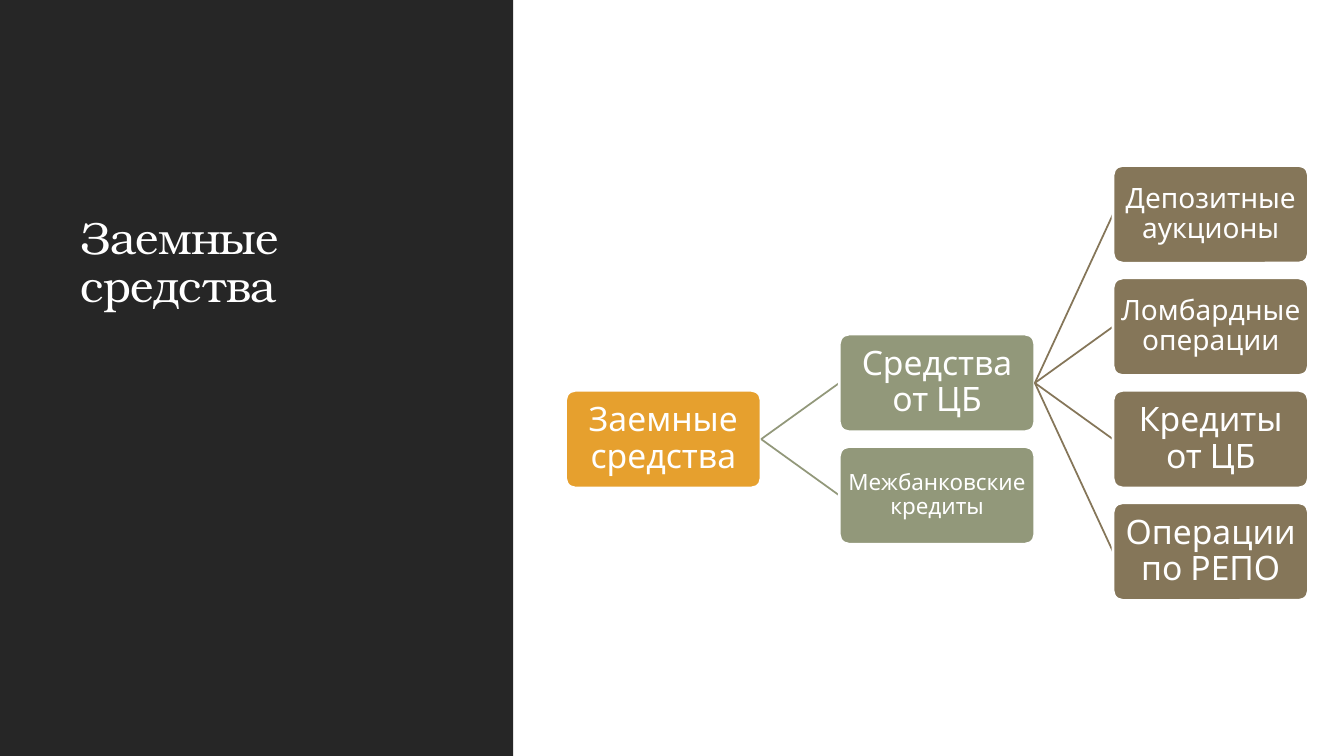
from lxml import etree
from pptx import Presentation
from pptx.dml.color import RGBColor
from pptx.enum.shapes import MSO_CONNECTOR, MSO_SHAPE
from pptx.enum.text import MSO_ANCHOR, PP_ALIGN
from pptx.oxml.ns import qn
from pptx.util import Pt

RECTANGLE = MSO_SHAPE.RECTANGLE
ROUNDED = MSO_SHAPE.ROUNDED_RECTANGLE
STRAIGHT = MSO_CONNECTOR.STRAIGHT
MIDDLE, BOTTOM = MSO_ANCHOR.MIDDLE, MSO_ANCHOR.BOTTOM
LEFT, CENTER = PP_ALIGN.LEFT, PP_ALIGN.CENTER

# Content: each node is (text, type size name, children)
TITLE = "Заемные средства"
TREE = ("Заемные средства", "large", [
    ("Средства от ЦБ", "large", [
        ("Депозитные аукционы", "medium", []),
        ("Ломбардные операции", "medium", []),
        ("Кредиты от ЦБ", "large", []),
        ("Операции по РЕПО", "large", []),
    ]),
    ("Межбанковские кредиты", "small", []),
])

THEME = {
    "panel": RGBColor.from_string("262626"),
    "white": RGBColor.from_string("FFFFFF"),
    "levels": [RGBColor.from_string(code) for code in ("E6A02E", "92987A", "857659")],
    "title_font": "TeX Gyre Bonum",
    "body_font": "Karla",
    "sizes": {"title": 32, "large": 24, "medium": 20, "small": 16},
}

# Layout in points
SLIDE_WIDTH, SLIDE_HEIGHT = 960, 540
PANEL_WIDTH = 366.5
TITLE_BOX = (50.4, 61.9, 277.2, 164.9)
TREE_LEFT, TREE_MIDDLE = 404, 313.7
BOX_WIDTH, BOX_HEIGHT = 139.7, 69.85
COLUMN_STEP, ROW_STEP = 195.5, 80.3


def set_values(target, values):
    for name, value in values.items():
        setattr(target, name, value)


def write_text(shape, text, size, font, align, anchor, margins):
    frame = shape.text_frame
    sides = ("margin_left", "margin_top", "margin_right", "margin_bottom")
    set_values(frame, {"word_wrap": True, "vertical_anchor": anchor})
    set_values(frame, {side: Pt(margin) for side, margin in zip(sides, margins)})
    paragraph = frame.paragraphs[0]
    set_values(paragraph, {"alignment": align, "line_spacing": 0.9})
    run = paragraph.add_run()
    run.text = text
    set_values(run.font, {"size": Pt(THEME["sizes"][size]), "name": font})
    run.font.color.rgb = THEME["white"]
    return run


def add_block(slide, kind, bounds, color):
    shape = slide.shapes.add_shape(kind, *map(Pt, bounds))
    shape.shadow.inherit = False
    shape.fill.solid()
    shape.fill.fore_color.rgb = color
    return shape


def add_branch(slide, start, end, color):
    connector = slide.shapes.add_connector(STRAIGHT, *map(Pt, start + end))
    connector.line.color.rgb = color
    connector.line.width = Pt(1.25)
    etree.SubElement(connector._element.spPr, qn("a:effectLst"))


def add_node(slide, node, middle, level=0):
    text, size, children = node
    left = TREE_LEFT + level * COLUMN_STEP
    bounds = (left, middle - BOX_HEIGHT / 2, BOX_WIDTH, BOX_HEIGHT)
    box = add_block(slide, ROUNDED, bounds, THEME["levels"][level])
    box.adjustments[0] = 0.1
    box.line.color.rgb = THEME["white"]
    box.line.width = Pt(2)
    write_text(box, text, size, THEME["body_font"], CENTER, MIDDLE, (1, 1, 1, 1))

    # Children are stacked evenly around the middle of their parent
    for index, child in enumerate(children):
        child_middle = middle + (index - (len(children) - 1) / 2) * ROW_STEP
        add_branch(slide, (left + BOX_WIDTH, middle),
                   (left + COLUMN_STEP, child_middle), THEME["levels"][level + 1])
        add_node(slide, child, child_middle, level + 1)


def main():
    presentation = Presentation()
    set_values(presentation, {"slide_width": Pt(SLIDE_WIDTH), "slide_height": Pt(SLIDE_HEIGHT)})
    slide = presentation.slides.add_slide(presentation.slide_layouts[6])

    # Dark panel with the title
    panel = add_block(slide, RECTANGLE, (0, 0, PANEL_WIDTH, SLIDE_HEIGHT), THEME["panel"])
    panel.line.fill.background()
    title = slide.shapes.add_textbox(*map(Pt, TITLE_BOX))
    run = write_text(title, TITLE, "title", THEME["title_font"], LEFT, BOTTOM, (7.2, 3.6, 7.2, 3.6))
    run._r.get_or_add_rPr().set("spc", "-50")

    # Tree of borrowed funds
    add_node(slide, TREE, TREE_MIDDLE)
    presentation.save("out.pptx")


if __name__ == "__main__":
    main()
